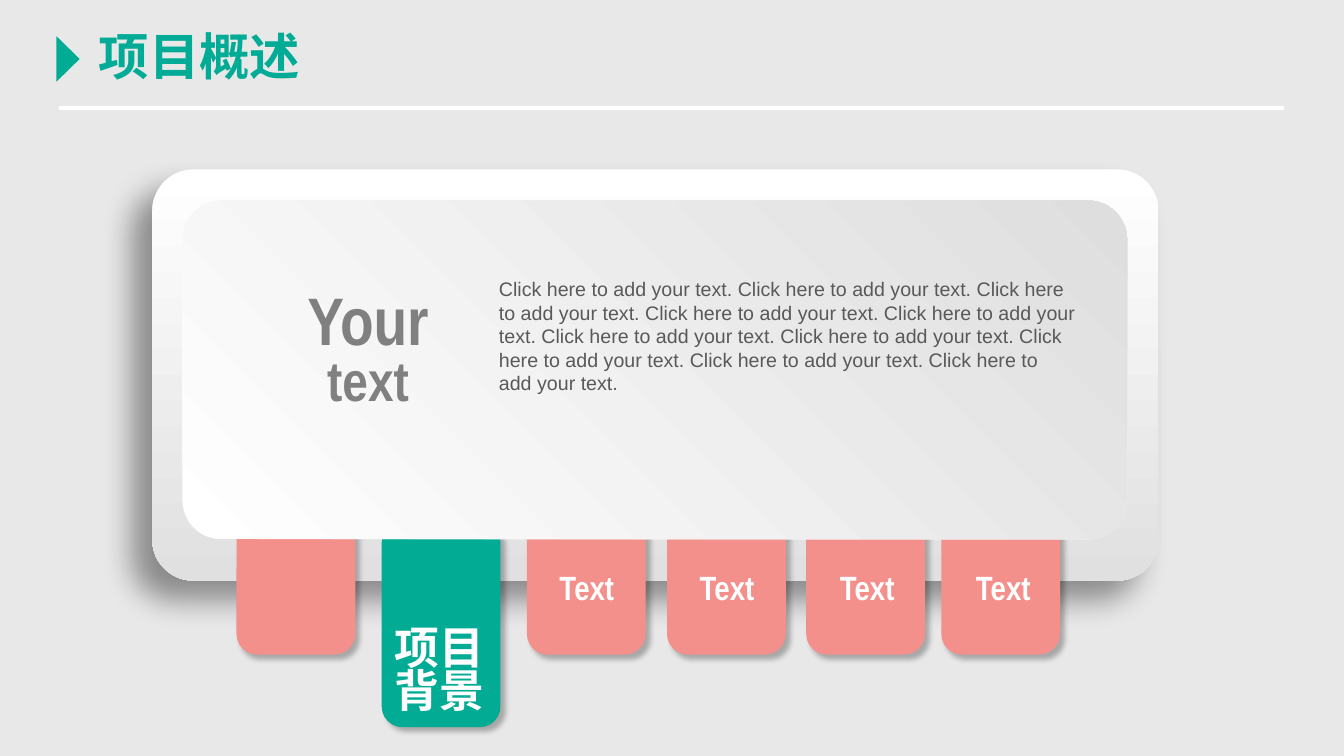
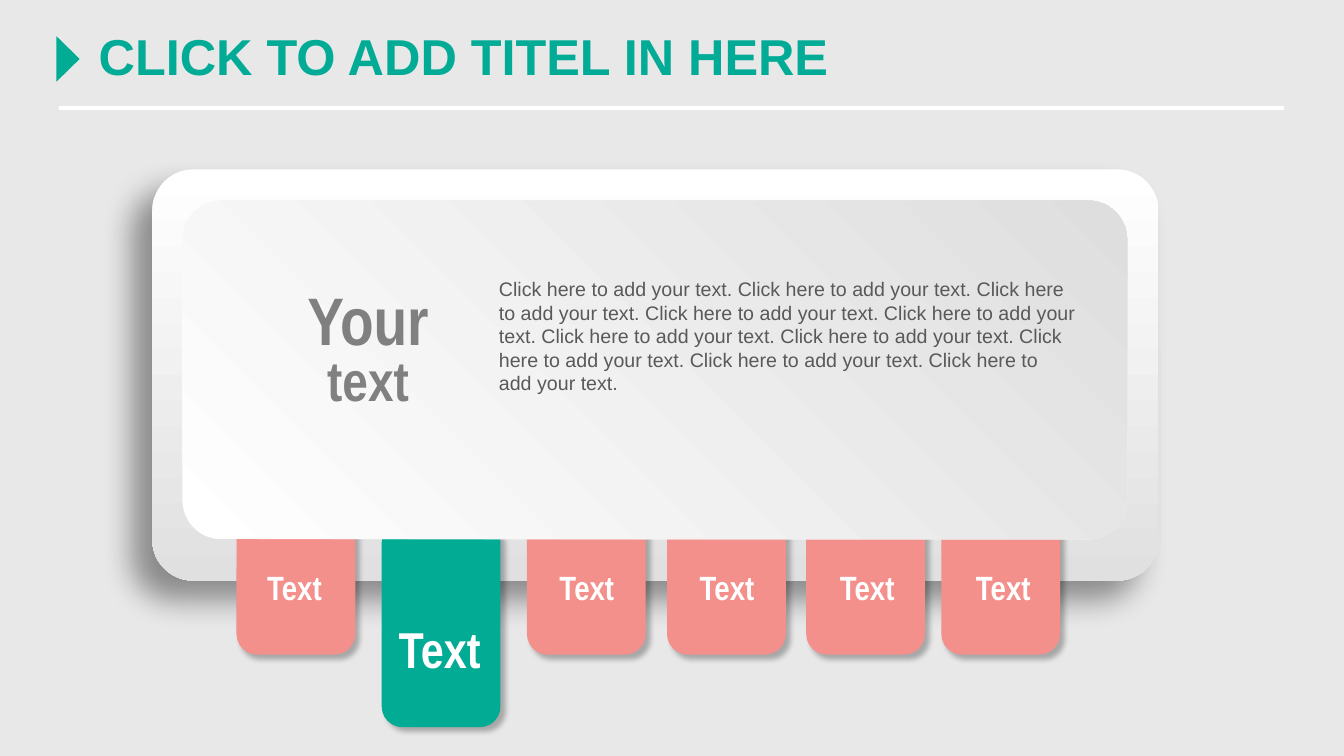
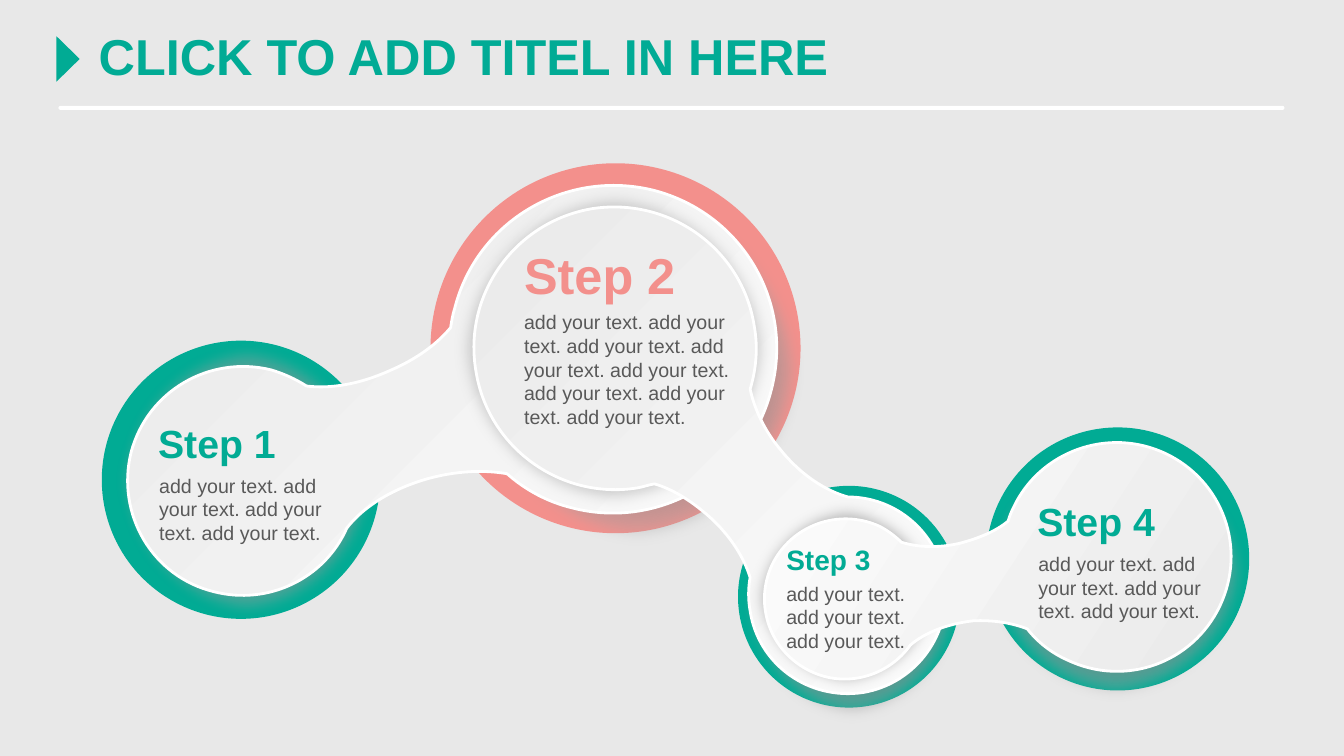
from dataclasses import dataclass
from math import cos, radians, sin

from pptx import Presentation
from pptx.dml.color import RGBColor
from pptx.enum.shapes import MSO_SHAPE
from pptx.enum.text import MSO_AUTO_SIZE, PP_ALIGN
from pptx.oxml import parse_xml
from pptx.oxml.ns import nsdecls, qn
from pptx.util import Inches, Pt

RECT, ROUND = MSO_SHAPE.RECTANGLE, MSO_SHAPE.ROUNDED_RECTANGLE
ELLIPSE = MSO_SHAPE.OVAL
TRIANGLE = MSO_SHAPE.ISOSCELES_TRIANGLE
LEFT, CENTER = PP_ALIGN.LEFT, PP_ALIGN.CENTER
FIT = MSO_AUTO_SIZE.SHAPE_TO_FIT_TEXT
BLANK = 6


@dataclass(frozen=True)
class Theme:
    back: str = "E8E8E8"
    white: str = "FFFFFF"
    green: str = "01AB94"
    title: str = "01AB95"
    pink: str = "F3908C"
    gray: str = "808080"
    body: str = "595959"
    font: str = "Arial"
    narrow: str = "Arial Narrow"
    title_size: int = 36
    body_size: int = 14
    tab_size: int = 24
    big_size: int = 48
    mid_size: int = 40


T = Theme()

# Gradients: stops as (position, colour, opacity), then direction
PANEL_FILL = ([(0, T.white, 100), (100, "E0E0E0", 100)], 90)
CARD_FILL = ([(0, T.white, 100), (100, "DDDEDD", 100)], 315)
LINK_STOPS = [(0, "E6E6E6", 100), (100, T.white, 100)]
LINK_CORNER = (LINK_STOPS, (0, 0, 100, 100))
LINK_LINEAR = (LINK_STOPS, 225)
GLOW_FILL = ([(33, "717171", 100), (82, "BFBFBF", 0), (100, T.white, 100)],
             (50, 50, 50, 50))
GLOW_EDGE = 10

# Shadows: opacity, blur, distance, direction
PANEL_SHADOW = (40, 22, 20, 135)
TAB_SHADOW = (27, 4, 4, 45)


def gradient_xml(stops, direction):
    """An angle gives a linear gradient, a focus rectangle a circular one."""
    gs = "".join(
        f'<a:gs pos="{pos * 1000}"><a:srgbClr val="{color}">'
        f'<a:alpha val="{alpha * 1000}"/></a:srgbClr></a:gs>'
        for pos, color, alpha in stops)
    if isinstance(direction, tuple):
        rect = " ".join(f'{side}="{v * 1000}"' for side, v in zip("ltrb", direction))
        way = f'<a:path path="circle"><a:fillToRect {rect}/></a:path>'
    else:
        way = f'<a:lin ang="{direction * 60000}" scaled="0"/>'
    return parse_xml(f'<a:gradFill {nsdecls("a")} rotWithShape="1">'
                     f'<a:gsLst>{gs}</a:gsLst>{way}</a:gradFill>')


def shadow_xml(alpha, blur, dist, angle):
    return parse_xml(
        f'<a:outerShdw {nsdecls("a")} blurRad="{Pt(blur)}" dist="{Pt(dist)}" '
        f'dir="{angle * 60000}" algn="ctr" rotWithShape="0">'
        f'<a:srgbClr val="000000"><a:alpha val="{alpha * 1000}"/></a:srgbClr>'
        f'</a:outerShdw>')


def turn(point, degrees):
    """Rotate a point about the slide's top left corner."""
    a, (x, y) = radians(degrees), point
    return x * cos(a) - y * sin(a), x * sin(a) + y * cos(a)


def curve_segments(sp):
    """Join each three line points of a freeform into one Bezier curve."""
    lines = list(sp._element.spPr.iter(qn("a:lnTo")))
    for i in range(0, len(lines) - 2, 3):
        curve = parse_xml(f'<a:cubicBezTo {nsdecls("a")}/>')
        lines[i].addprevious(curve)
        for line in lines[i:i + 3]:
            curve.append(line[0])
            line.getparent().remove(line)


class Deck:
    def __init__(self):
        self.prs = Presentation()
        self.prs.slide_width, self.prs.slide_height = Inches(13.33), Inches(7.5)
        self.s = None

    def slide(self, title, title_width):
        self.s = self.prs.slides.add_slide(self.prs.slide_layouts[BLANK])
        self.shape(RECT, 0, 0, 13.33, 7.5, T.back)
        self.shape(ROUND, 0.58, 1.05, 12.16, 0.04, T.white, adj=0.5)
        self.text(0.88, 0.2, title_width, 0.71, [(title, T.title_size)], T.title,
                  bold=True, wrap=False)
        self.shape(TRIANGLE, 0.45, 0.47, 0.45, 0.23, T.green).rotation = 90

    def style(self, sp, fill, line=None, effect=None):
        spPr = sp._element.spPr
        if isinstance(fill, str):
            sp.fill.solid()
            sp.fill.fore_color.rgb = RGBColor.from_string(fill)
        else:
            sp.fill.background()
            spPr.replace(spPr.find(qn("a:noFill")), gradient_xml(*fill))
        if line:
            sp.line.color.rgb = RGBColor.from_string(line)
            sp.line.width = Pt(2)
        else:
            sp.line.fill.background()
        sp.shadow.inherit = False
        if effect is not None:
            spPr.find(qn("a:effectLst")).append(effect)
        return sp

    def shape(self, kind, x, y, w, h, fill, line=None, effect=None, adj=None):
        sp = self.s.shapes.add_shape(kind, Inches(x), Inches(y), Inches(w), Inches(h))
        if adj is not None:
            sp.adjustments[0] = adj
        return self.style(sp, fill, line, effect)

    def glow(self, x, y, w, h):
        edge = parse_xml(f'<a:softEdge {nsdecls("a")} rad="{Pt(GLOW_EDGE)}"/>')
        self.shape(ELLIPSE, x, y, w, h, GLOW_FILL, effect=edge)

    def disc(self, x, y, size, color):
        self.shape(ELLIPSE, x, y, size, size, color)

    def link(self, curve, angle, fill):
        """An outline given as it lies on the slide, stored as a turned shape."""
        pts = [tuple(Inches(v) for v in turn(pt, -angle)) for pt in curve]
        builder = self.s.shapes.build_freeform(*pts[0], scale=1.0)
        builder.add_line_segments(pts[1:], close=True)
        sp = builder.convert_to_shape()
        curve_segments(sp)
        # A shape turns about its own centre, so move that centre into place
        cx, cy = turn((sp.left + sp.width / 2, sp.top + sp.height / 2), angle)
        sp.left, sp.top = int(cx - sp.width / 2), int(cy - sp.height / 2)
        sp.rotation = angle
        self.style(sp, fill, T.white)

    def text(self, x, y, w, h, runs, color, font=T.font, bold=False,
             align=LEFT, spacing=None, wrap=True):
        tf = self.s.shapes.add_textbox(
            Inches(x), Inches(y), Inches(w), Inches(h)).text_frame
        tf.word_wrap = wrap
        tf.auto_size = FIT
        p = tf.paragraphs[0]
        p.alignment = align
        if spacing:
            p.line_spacing = spacing
        for words, size in runs:
            r = p.add_run()
            r.text = words
            r.font.size = Pt(size)
            r.font.name, r.font.bold = font, bold
            r.font.color.rgb = RGBColor.from_string(color)

    def label(self, x, y, w, h, runs, color):
        self.text(x, y, w, h, runs, color, T.narrow, True, CENTER, 0.8)

    def body(self, x, y, w, h, words):
        self.text(x, y, w, h, [(words, T.body_size)], T.body)


# Left edges of the tabs and of their labels
TAB_LEFTS = (2.36, 3.8, 5.24, 6.63, 8.01, 9.35)
LABEL_LEFTS = (2.26, 3.7, 5.16, 6.55, 7.94, 9.29)
ACTIVE = 1


def tab_slide(deck, title, title_width, first, active, active_size, active_height):
    deck.slide(title, title_width)
    # Panel, tabs, and the card that covers the tab tops
    deck.shape(ROUND, 1.51, 1.68, 9.98, 4.08, PANEL_FILL,
               effect=shadow_xml(*PANEL_SHADOW), adj=0.1)
    for i, x in enumerate(TAB_LEFTS):
        color, y = (T.green, 5.19) if i == ACTIVE else (T.pink, 4.47)
        deck.shape(ROUND, x, y, 1.15, 2.01, color, color, shadow_xml(*TAB_SHADOW))
    deck.shape(ROUND, 1.81, 1.99, 9.37, 3.36, CARD_FILL, adj=0.115)
    # Card text
    deck.label(2.74, 2.87, 1.82, 1.66,
               [("Your", T.big_size), (" text", T.mid_size)], T.gray)
    deck.body(4.85, 2.7, 5.92, 1.96, " ".join(["Click here to add your text."] * 10))
    # Tab labels
    for i, (x, words) in enumerate(zip(LABEL_LEFTS, [first, active] + ["Text"] * 4)):
        y, h, size = ((6.2, active_height, active_size) if i == ACTIVE
                      else (5.65, 0.55, T.tab_size))
        if words:
            deck.label(x, y, 1.32, h, [(words, size)], T.white)


# Outlines of the bridges between steps: start point, then Bezier triples
LINK_1_2 = [
    (6.49, 1.89),
    (7.36, 2.12), (7.88, 3), (7.65, 3.87), (7.43, 4.74), (6.54, 5.26), (5.68, 5.04),
    (5.43, 4.98), (5.21, 4.86), (5.03, 4.7), (4.8, 4.66), (4.53, 4.67), (4.24, 4.75),
    (3.89, 4.85), (3.6, 5.03), (3.44, 5.24), (3.22, 5.74), (2.66, 6.01), (2.12, 5.87),
    (1.51, 5.72), (1.15, 5.1), (1.3, 4.49), (1.46, 3.88), (2.08, 3.52), (2.69, 3.67),
    (2.82, 3.71), (2.93, 3.76), (3.04, 3.83), (3.28, 3.86), (3.57, 3.81), (3.86, 3.68),
    (4.12, 3.57), (4.33, 3.42), (4.47, 3.25), (4.48, 3.19), (4.49, 3.12), (4.51, 3.06),
    (4.73, 2.19), (5.62, 1.67), (6.49, 1.89)]
LINK_2_3 = [
    (4.72, 3.68),
    (4.59, 2.92), (5.11, 2.2), (5.87, 2.07), (6.64, 1.95), (7.36, 2.47), (7.48, 3.23),
    (7.52, 3.45), (7.5, 3.66), (7.44, 3.86), (7.48, 4.05), (7.58, 4.27), (7.74, 4.46),
    (7.94, 4.71), (8.19, 4.87), (8.41, 4.93), (8.88, 4.93), (9.29, 5.27), (9.37, 5.75),
    (9.45, 6.28), (9.09, 6.78), (8.56, 6.87), (8.02, 6.95), (7.52, 6.59), (7.44, 6.06),
    (7.42, 5.95), (7.42, 5.83), (7.44, 5.73), (7.38, 5.53), (7.24, 5.31), (7.04, 5.13),
    (6.86, 4.97), (6.67, 4.85), (6.49, 4.8), (6.43, 4.81), (6.38, 4.83), (6.32, 4.84),
    (5.56, 4.96), (4.84, 4.44), (4.72, 3.68)]
LINK_3_4 = [
    (11.56, 4.5),
    (12.13, 4.77), (12.37, 5.44), (12.1, 6.01), (11.83, 6.58), (11.16, 6.82), (10.59, 6.55),
    (10.43, 6.48), (10.29, 6.37), (10.19, 6.24), (10.04, 6.18), (9.85, 6.15), (9.65, 6.16),
    (9.39, 6.19), (9.17, 6.28), (9.03, 6.4), (8.81, 6.71), (8.39, 6.83), (8.04, 6.66),
    (7.64, 6.47), (7.47, 6), (7.66, 5.6), (7.85, 5.21), (8.32, 5.04), (8.72, 5.22),
    (8.8, 5.26), (8.88, 5.32), (8.94, 5.38), (9.1, 5.43), (9.31, 5.44), (9.52, 5.39),
    (9.71, 5.34), (9.88, 5.27), (10, 5.17), (10.01, 5.13), (10.03, 5.08), (10.05, 5.04),
    (10.31, 4.48), (10.99, 4.23), (11.56, 4.5)]

# Heading box, size, colour; body box, number of sentences
STEPS = [
    ((1.47, 4.2, 1.39, 0.48), 28, T.green, (1.48, 4.65, 2, 0.81), 4),
    ((5.1, 2.49, 2.62, 0.59), 36, T.pink, (5.1, 3.03, 2.43, 1.28), 8),
    ((7.7, 5.4, 1.39, 0.37), 20, T.green, (7.7, 5.72, 1.49, 0.81), 3),
    ((10.19, 4.97, 1.39, 0.48), 28, T.green, (10.2, 5.43, 2, 0.81), 4)]


def step_slide(deck, title, title_width):
    deck.slide(title, title_width)
    # Coloured discs with soft shadows
    deck.disc(1.01, 3.38, 2.76, T.green)
    deck.glow(1.13, 3.37, 2.64, 2.8)
    deck.disc(7.32, 4.82, 2.2, T.green)
    deck.glow(7.33, 4.85, 2.24, 2.36)
    deck.disc(4.27, 1.62, 3.67, T.pink)
    deck.disc(9.78, 4.24, 2.61, T.green)
    deck.glow(4.65, 1.89, 3.35, 3.55)
    # Bridges, each over the shadow of the next
    deck.link(LINK_1_2, 337.3, LINK_CORNER)
    deck.glow(4.48, 1.83, 3.22, 3.26)
    deck.link(LINK_2_3, 223.6, LINK_CORNER)
    deck.glow(7.38, 4.93, 2.03, 1.98)
    deck.glow(9.72, 4.34, 2.69, 2.65)
    deck.link(LINK_3_4, 348.1, LINK_LINEAR)
    # Step texts
    for n, (head, size, color, box, count) in enumerate(STEPS, 1):
        deck.text(*head, [(f"Step {n}", size)], color, bold=True, spacing=0.8)
        deck.body(*box, " ".join(["add your text."] * count))


def main():
    deck = Deck()
    title = "CLICK TO ADD TITEL IN HERE"
    tab_slide(deck, "项目概述", 2.2, "", "项目背景", 32, 0.96)
    tab_slide(deck, title, 7.51, "Text", "Text", 36, 0.76)
    step_slide(deck, title, 7.51)
    deck.prs.save("out.pptx")


if __name__ == "__main__":
    main()
